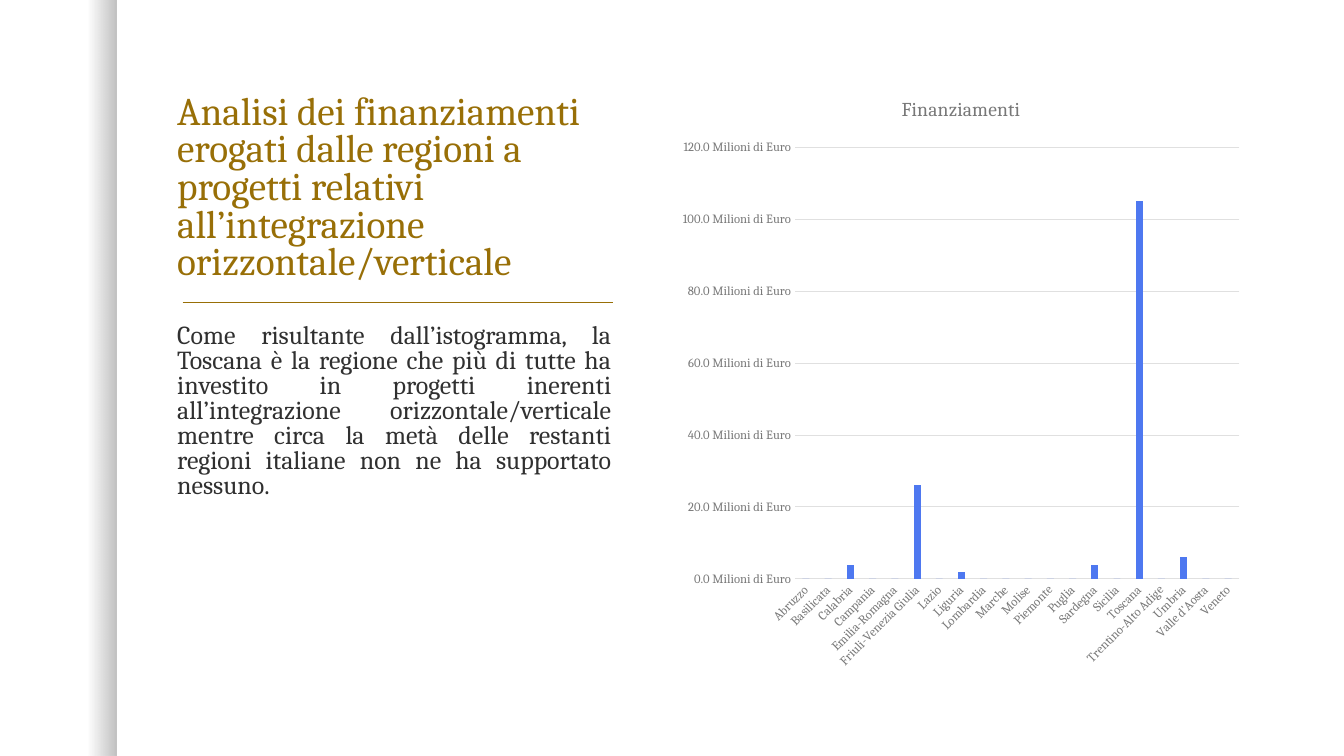
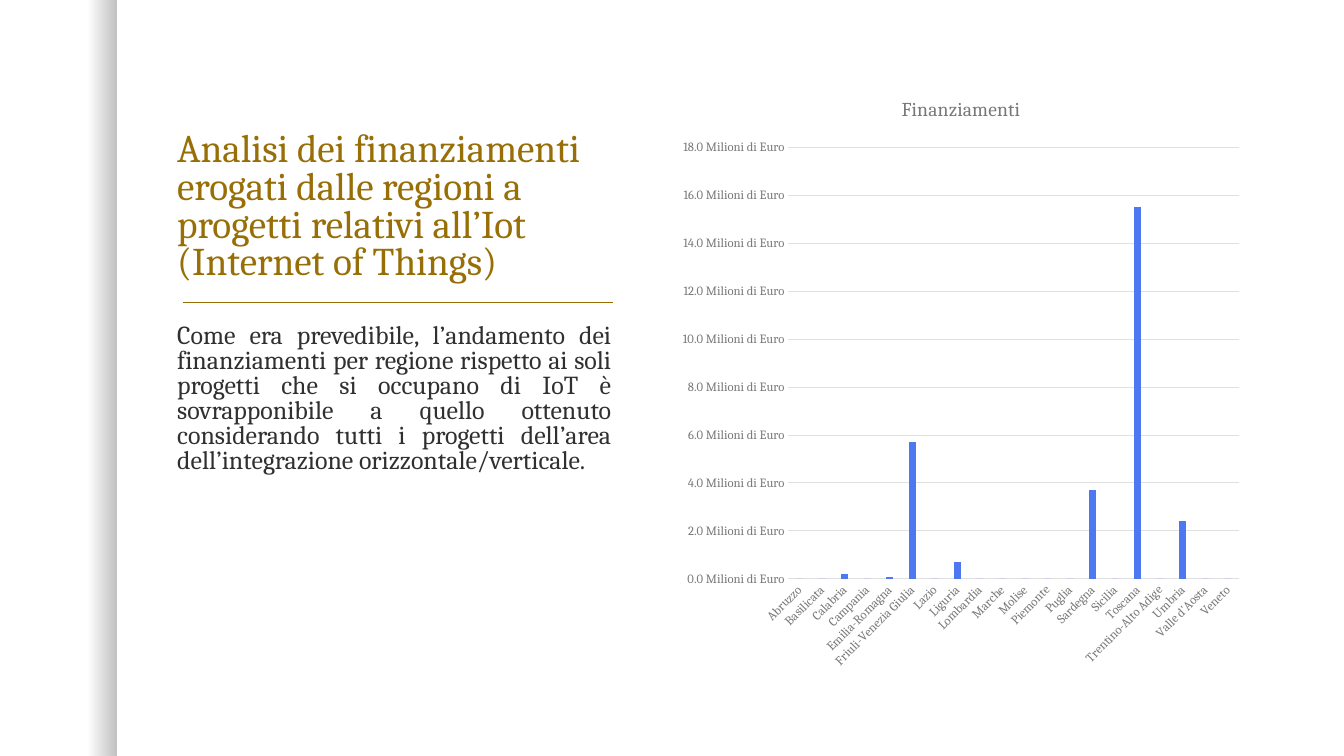
from dataclasses import dataclass
from typing import Any

from lxml.etree import SubElement
from pptx import Presentation
from pptx.chart.data import CategoryChartData
from pptx.dml.color import RGBColor
from pptx.enum.chart import XL_CHART_TYPE, XL_TICK_MARK
from pptx.enum.shapes import MSO_CONNECTOR, MSO_SHAPE
from pptx.enum.text import MSO_ANCHOR, PP_ALIGN
from pptx.oxml.ns import qn
from pptx.util import Pt

# Shared style
FONT = "Cambria"
GOLD, INK, GREY, RULE, BLUE, BLACK = "986F07", "303030", "787878", "E0E0E0", "4E78F0", "000000"
SLIDE_WIDTH, SLIDE_HEIGHT = 960, 540
TEXT_LEFT, TEXT_WIDTH = 119.5, 324
MILLION = 1_000_000

REGIONS = (
    "Abruzzo", "Basilicata", "Calabria", "Campania", "Emilia-Romagna",
    "Friuli-Venezia Giulia", "Lazio", "Liguria", "Lombardia", "Marche",
    "Molise", "Piemonte", "Puglia", "Sardegna", "Sicilia", "Toscana",
    "Trentino-Alto Adige", "Umbria", "Valle d'Aosta", "Veneto",
)


@dataclass(frozen=True)
class TextStyle:
    top: float
    height: float
    size: float
    colour: str
    anchor: MSO_ANCHOR
    alignment: PP_ALIGN


@dataclass(frozen=True)
class FundingSlide:
    title: str
    body: str
    millions: dict[str, float]  # regions left out received nothing
    axis_maximum: int
    axis_step: int


TITLE = TextStyle(54, 152, 28, GOLD, MSO_ANCHOR.BOTTOM, PP_ALIGN.LEFT)
BODY = TextStyle(228.5, 138, 18.5, INK, MSO_ANCHOR.TOP, PP_ALIGN.JUSTIFY)

FUNDING_SLIDES = (
    FundingSlide(
        "Analisi dei finanziamenti erogati dalle regioni a progetti relativi "
        "all’integrazione orizzontale/verticale",
        "Come risultante dall’istogramma, la Toscana è la regione che più di tutte ha "
        "investito in progetti inerenti all’integrazione orizzontale/verticale mentre "
        "circa la metà delle restanti regioni italiane non ne ha supportato nessuno.",
        {"Calabria": 4, "Friuli-Venezia Giulia": 26, "Liguria": 2,
         "Sardegna": 4, "Toscana": 105, "Umbria": 6},
        120, 20,
    ),
    FundingSlide(
        "Analisi dei finanziamenti erogati dalle regioni a progetti relativi all’Iot "
        "(Internet of Things)",
        "Come era prevedibile, l’andamento dei finanziamenti per regione rispetto ai "
        "soli progetti che si occupano di IoT è sovrapponibile a quello ottenuto "
        "considerando tutti i progetti dell’area dell’integrazione orizzontale/verticale.",
        {"Calabria": 0.2, "Emilia-Romagna": 0.1, "Friuli-Venezia Giulia": 5.7,
         "Liguria": 0.7, "Sardegna": 3.7, "Toscana": 15.5, "Umbria": 2.4},
        18, 2,
    ),
)


def colour(value: str) -> RGBColor:
    return RGBColor.from_string(value)


def apply(target: Any, values: dict[str, Any]) -> None:
    for name, value in values.items():
        setattr(target, name, value)


def set_font(font: Any, size: float, font_colour: str) -> None:
    apply(font, {"name": FONT, "size": Pt(size), "bold": False})
    font.color.rgb = colour(font_colour)


def set_line(line: Any, line_colour: str, width: float) -> None:
    line.color.rgb = colour(line_colour)
    line.width = Pt(width)


def add_frame(slide: Any) -> None:
    # Fading band on the left edge
    band = slide.shapes.add_shape(MSO_SHAPE.RECTANGLE, 0, 0, Pt(83.5), Pt(SLIDE_HEIGHT))
    band.shadow.inherit = False
    band.line.fill.background()
    band.fill.gradient()
    band.fill.gradient_angle = 0
    for stop, position, opacity in zip(band.fill.gradient_stops, (0.75, 1), (0, 25)):
        stop.position = position
        stop.color.rgb = colour(BLACK)
        stop_colour = band.element.xpath(".//a:gs/a:srgbClr")[-1 if opacity else 0]
        SubElement(stop_colour, qn("a:alpha")).set("val", str(opacity * 1000))

    # Rule between title and body
    rule = slide.shapes.add_connector(
        MSO_CONNECTOR.STRAIGHT, Pt(130.5), Pt(216), Pt(438), Pt(216))
    set_line(rule.line, GOLD, 1)
    SubElement(rule.element.spPr, qn("a:effectLst"))


def add_text(slide: Any, text: str, style: TextStyle) -> None:
    box = slide.shapes.add_textbox(
        Pt(TEXT_LEFT), Pt(style.top), Pt(TEXT_WIDTH), Pt(style.height))
    apply(box.text_frame, {"word_wrap": True, "vertical_anchor": style.anchor})
    paragraph = box.text_frame.paragraphs[0]
    apply(paragraph, {"text": text, "alignment": style.alignment, "line_spacing": 0.8})
    set_font(paragraph.font, style.size, style.colour)


def add_funding_chart(slide: Any, content: FundingSlide) -> None:
    data = CategoryChartData()
    data.categories = REGIONS
    values = [round(content.millions.get(region, 0) * MILLION) for region in REGIONS]
    data.add_series("Finanziamenti", values)
    chart = slide.shapes.add_chart(
        XL_CHART_TYPE.COLUMN_CLUSTERED, Pt(479.5), Pt(54), Pt(414), Pt(432), data).chart
    chart.has_legend = False
    set_font(chart.font, 10, INK)

    # Chart title
    chart.has_title = True
    title = chart.chart_title.text_frame.paragraphs[0]
    title.text = "Finanziamenti"
    set_font(title.runs[0].font, 14, GREY)

    # Columns
    plot = chart.plots[0]
    apply(plot, {"gap_width": 219, "overlap": -27, "vary_by_categories": False})
    columns = plot.series[0]
    columns.invert_if_negative = False
    columns.format.fill.solid()
    columns.format.fill.fore_color.rgb = colour(BLUE)

    # Axes
    for axis in (chart.category_axis, chart.value_axis):
        apply(axis, {"major_tick_mark": XL_TICK_MARK.NONE,
                     "minor_tick_mark": XL_TICK_MARK.NONE})
        set_font(axis.tick_labels.font, 9, GREY)
    set_line(chart.category_axis.format.line, RULE, 0.75)
    label_body = chart.category_axis.tick_labels.font and \
        chart.element.xpath(".//c:catAx/c:txPr/a:bodyPr")[0]
    label_body.set("rot", "-2700000")
    value_axis = chart.value_axis
    apply(value_axis, {"minimum_scale": 0,
                       "maximum_scale": content.axis_maximum * MILLION,
                       "major_unit": content.axis_step * MILLION,
                       "has_major_gridlines": True})
    apply(value_axis.tick_labels, {"number_format": '0.0,," Milioni di Euro"',
                                   "number_format_is_linked": False})
    value_axis.format.line.fill.background()
    set_line(value_axis.major_gridlines.format.line, RULE, 0.75)


def main() -> None:
    presentation = Presentation()
    apply(presentation, {"slide_width": Pt(SLIDE_WIDTH), "slide_height": Pt(SLIDE_HEIGHT)})
    for content in FUNDING_SLIDES:
        slide = presentation.slides.add_slide(presentation.slide_layouts[6])
        add_frame(slide)
        add_text(slide, content.title, TITLE)
        add_text(slide, content.body, BODY)
        add_funding_chart(slide, content)
    presentation.save("out.pptx")


if __name__ == "__main__":
    main()
